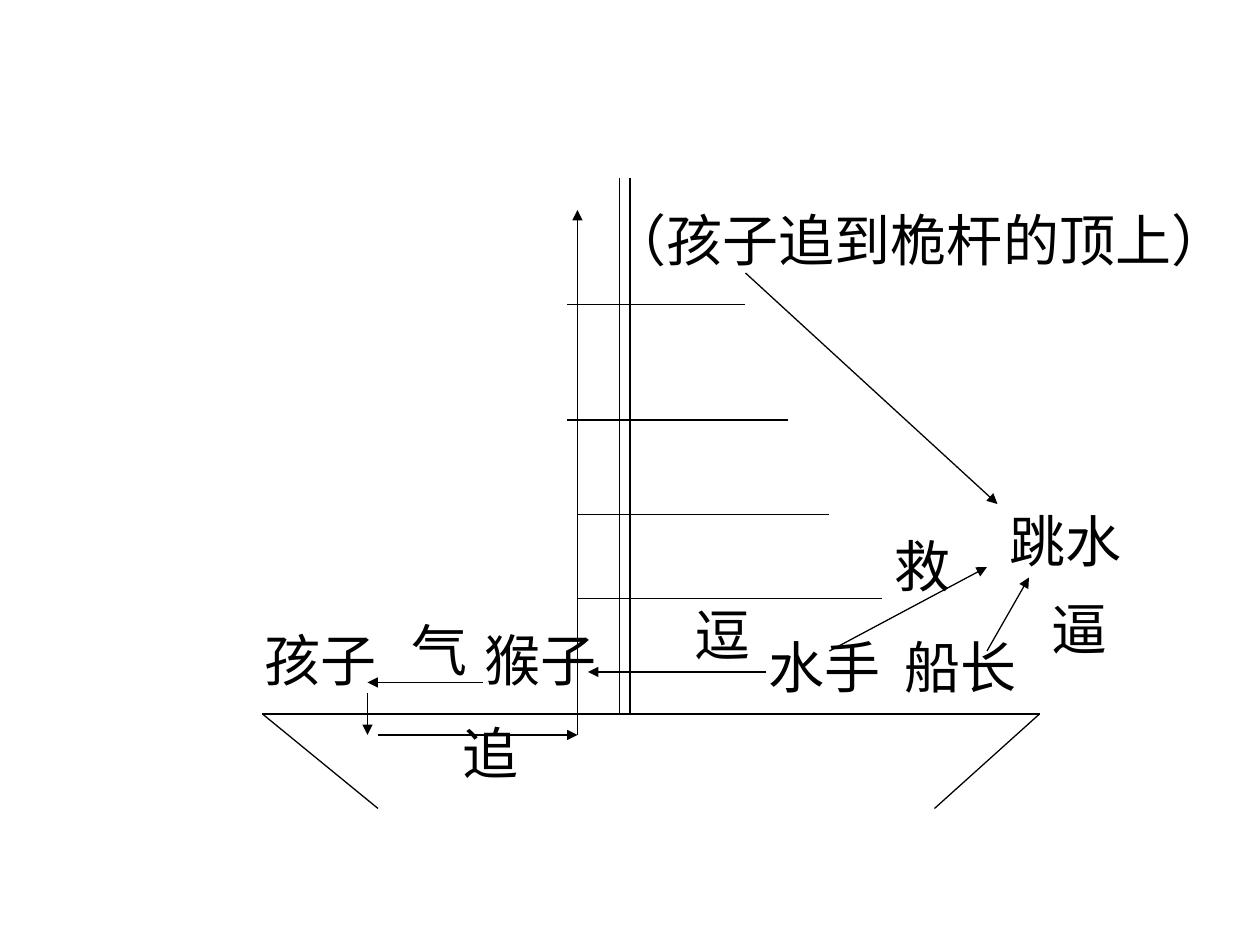
"""Builds the ship diagram of the story about the boy, the monkey and the mast."""
from typing import NamedTuple

from lxml import etree
from pptx import Presentation
from pptx import util as u
from pptx.dml import color
from pptx.enum import shapes, text
from pptx.oxml import ns

SCALE = 9525
COLORS = {"ink": "000000", "paper": "FFFFFF"}
FONT = "Times New Roman"
DECK, TOP, LEFT, RIGHT = 544, 136, 200, 792
CLIMB, TRACK = 440, 560


class Line(NamedTuple):
    x1: int
    y1: int
    x2: int
    y2: int
    arrow: bool = False


class Label(NamedTuple):
    words: str
    x: int
    y: int
    width: int
    wrap: bool = False


HULL = [
    Line(472, TOP, 472, DECK),
    Line(480, TOP, 480, DECK),
    Line(LEFT, DECK, RIGHT, DECK),
    Line(LEFT, DECK, 288, 616),
    Line(RIGHT, DECK, 712, 616),
]
RUNGS = [
    Line(432, 232, 568, 232),
    Line(432, 320, 600, 320),
    Line(CLIMB, 392, 632, 392),
    Line(CLIMB, 456, 672, 456),
]
MOVES = [
    Line(584, 512, 448, 512, True),
    Line(368, 520, 280, 520, True),
    Line(280, 528, 280, TRACK, True),
    Line(288, TRACK, CLIMB, TRACK, True),
    Line(CLIMB, TRACK, CLIMB, 160, True),
    Line(568, 208, 760, 384, True),
    Line(752, 496, 784, 440, True),
    Line(632, 496, 752, 432, True),
]
LABELS = [
    Label("水手", 576, 477, 105),
    Label("逗", 520, 453, 61),
    Label("猴子", 360, 472, 105),
    Label("气", 304, 464, 61),
    Label("孩子", 192, 472, 108, True),
    Label("追", 343, 543, 61),
    Label("（孩子追到桅杆的顶上）", 456, 152, 504, True),
    Label("船长", 680, 477, 105),
    Label("逼", 792, 448, 61),
    Label("救", 672, 400, 61),
    Label("跳水", 760, 381, 105),
]


def px(count: int) -> u.Emu:
    return u.Emu(count * SCALE)


def ink() -> color.RGBColor:
    return color.RGBColor.from_string(COLORS["ink"])


def draw_line(slide, line: Line) -> None:
    ends = map(px, line[:4])
    link = slide.shapes.add_connector(shapes.MSO_CONNECTOR.STRAIGHT, *ends)
    link.line.color.rgb = ink()
    link.line.width = u.Pt(0.75)
    if line.arrow:
        etree.SubElement(link.line._get_or_add_ln(), ns.qn("a:tailEnd"), type="triangle")
    etree.SubElement(link._element.spPr, ns.qn("a:effectLst"))


def draw_label(slide, label: Label) -> None:
    box = slide.shapes.add_textbox(px(label.x), px(label.y), px(label.width), px(61))
    frame = box.text_frame
    frame.word_wrap = label.wrap
    frame.auto_size = text.MSO_AUTO_SIZE.SHAPE_TO_FIT_TEXT
    run = frame.paragraphs[0].add_run()
    run.text = label.words
    run.font.name = FONT
    run.font.size = u.Pt(32)
    run.font.color.rgb = ink()


def main() -> None:
    deck = Presentation()
    deck.slide_width, deck.slide_height = px(960), px(720)
    slide = deck.slides.add_slide(deck.slide_layouts[6])
    fill = slide.background.fill
    fill.solid()
    fill.fore_color.rgb = color.RGBColor.from_string(COLORS["paper"])
    for line in HULL + RUNGS + MOVES:
        draw_line(slide, line)
    for label in LABELS:
        draw_label(slide, label)
    deck.save("out.pptx")


if __name__ == "__main__":
    main()
